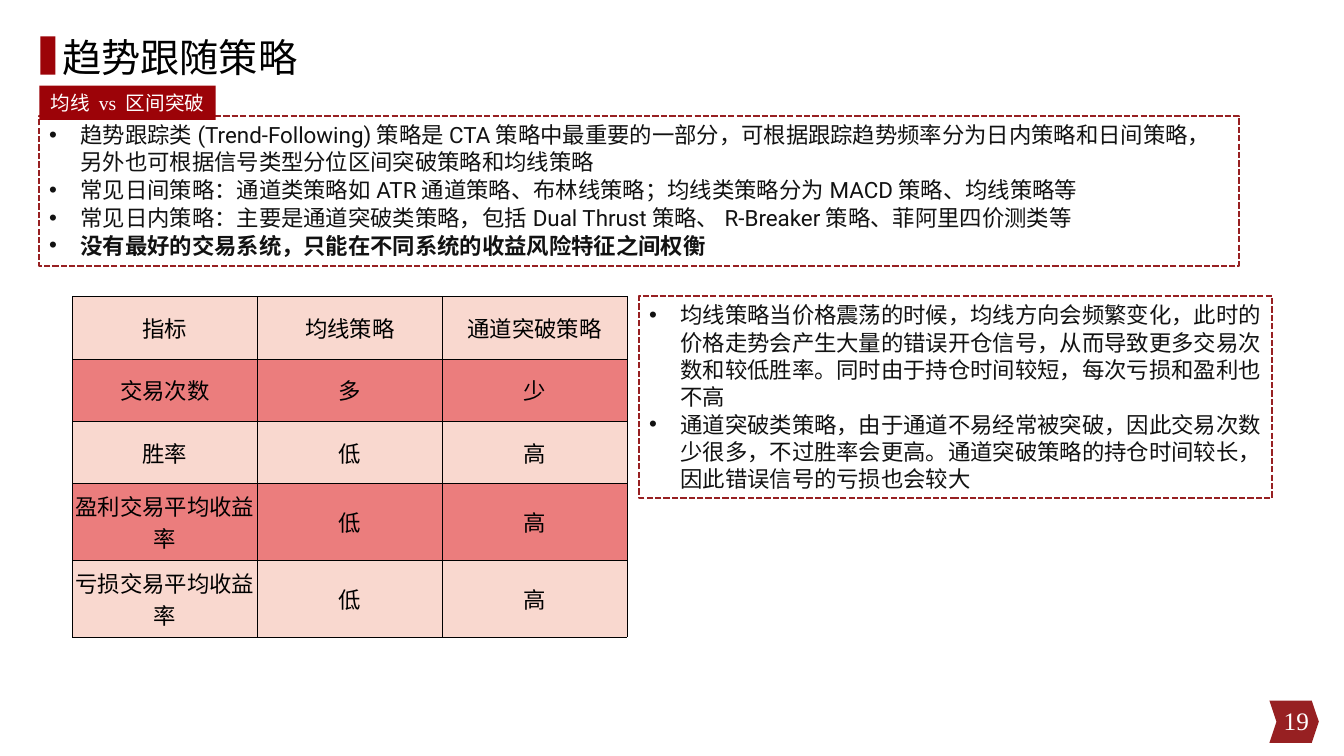
from dataclasses import dataclass

from lxml import etree
from pptx import Presentation
from pptx.dml.color import RGBColor
from pptx.enum.dml import MSO_LINE
from pptx.enum.shapes import MSO_SHAPE
from pptx.enum.text import MSO_ANCHOR, PP_ALIGN
from pptx.oxml.ns import qn
from pptx.util import Emu, Pt

PX = 9144
BLANK_LAYOUT = 6
RECTANGLE, CHEVRON = MSO_SHAPE.RECTANGLE, MSO_SHAPE.CHEVRON
LEFT, CENTER, RIGHT = PP_ALIGN.LEFT, PP_ALIGN.CENTER, PP_ALIGN.RIGHT
TOP, MIDDLE = MSO_ANCHOR.TOP, MSO_ANCHOR.MIDDLE
DASH = MSO_LINE.SQUARE_DOT
BORDER_SIDES = ("a:lnL", "a:lnR", "a:lnT", "a:lnB")


@dataclass(frozen=True)
class Theme:
    """Colours, fonts and type sizes of the slide."""
    accent: str = "9C0308"
    frame: str = "972022"
    ink: str = "121212"
    black: str = "000000"
    white: str = "FFFFFF"
    bands: tuple = ("F9D8CF", "EB7D7D")
    serif: str = "Times New Roman"
    sans: str = "Roboto"
    chinese: str = "Noto Sans CJK SC"
    title_size: int = 28
    number_size: int = 18
    body_size: int = 16
    tag_size: int = 14
    body_leading: float = 19.4
    space_after: float = 0.5


THEME = Theme()

OVERVIEW = (
    "趋势跟踪类(Trend-Following)策略是CTA策略中最重要的一部分，可根据跟踪趋势频率分为日内策略和日间策略，"
    "另外也可根据信号类型分位区间突破策略和均线策略",
    "常见日间策略：通道类策略如ATR通道策略、布林线策略；均线类策略分为MACD策略、均线策略等",
    "常见日内策略：主要是通道突破类策略，包括Dual Thrust策略、R-Breaker策略、菲阿里四价测类等",
    "没有最好的交易系统，只能在不同系统的收益风险特征之间权衡",
)
EXPLANATION = (
    "均线策略当价格震荡的时候，均线方向会频繁变化，此时的价格走势会产生大量的错误开仓信号，"
    "从而导致更多交易次数和较低胜率。同时由于持仓时间较短，每次亏损和盈利也不高",
    "通道突破类策略，由于通道不易经常被突破，因此交易次数少很多，不过胜率会更高。"
    "通道突破策略的持仓时间较长，因此错误信号的亏损也会较大",
)
COMPARISON = (
    ("指标", "均线策略", "通道突破策略"),
    ("交易次数", "多", "少"),
    ("胜率", "低", "高"),
    ("盈利交易平均收益率", "低", "高"),
    ("亏损交易平均收益率", "低", "高"),
)
ROW_HEIGHTS = (62, 62, 62, 76, 76)


def scaled(box):
    """Turn a box of px lengths into EMU."""
    return [Emu(length * PX) for length in box]


def style_paragraph(paragraph, size, color, font_name, alignment=LEFT, bold=False):
    """Format a paragraph and its runs."""
    paragraph.alignment = alignment
    for run in paragraph.runs:
        run.font.size = Pt(size)
        run.font.bold = bold
        run.font.color.rgb = RGBColor.from_string(color)
        run.font.name = font_name
        east_asian = etree.SubElement(run._r.get_or_add_rPr(), qn("a:ea"))
        east_asian.set("typeface", THEME.chinese)


def add_block(slide, box, fill=None, preset=RECTANGLE):
    """Add a preset shape without outline or shadow."""
    shape = slide.shapes.add_shape(preset, *scaled(box))
    shape.shadow.inherit = False
    shape.line.fill.background()
    if fill:
        shape.fill.solid()
        shape.fill.fore_color.rgb = RGBColor.from_string(fill)
    else:
        shape.fill.background()
    return shape


def add_label(slide, box, text, size, color, alignment=LEFT):
    """Add one vertically centred line of serif text."""
    text_frame = slide.shapes.add_textbox(*scaled(box)).text_frame
    text_frame.word_wrap = True
    text_frame.vertical_anchor = MIDDLE
    text_frame.text = text
    style_paragraph(text_frame.paragraphs[0], size, color, THEME.serif, alignment)


def add_header(slide, box, title):
    """Draw the accent bar and the slide title beside it."""
    left, top, width, height = box
    add_block(slide, (left, top + 38, 15, 38), THEME.accent)
    add_label(slide, (left + 12, top, width - 12, height), title, THEME.title_size, THEME.black)


def add_page_number(slide, box, number):
    """Draw the chevron with the page number on it."""
    left, top, width, height = box
    chevron = add_block(slide, box, THEME.frame, CHEVRON)
    chevron.adjustments[0] = 0.167
    add_label(slide, (left, top, width, height - 2), number, THEME.number_size, THEME.white, RIGHT)


def add_tag(slide, box, text):
    """Draw the filled section tag."""
    text_frame = add_block(slide, box, THEME.accent).text_frame
    text_frame.word_wrap = True
    text_frame.vertical_anchor = MIDDLE
    text_frame.text = text
    style_paragraph(text_frame.paragraphs[0], THEME.tag_size, THEME.white, THEME.serif, CENTER)


def add_bullet(paragraph, indent):
    """Give a paragraph a hanging bullet."""
    properties = paragraph._p.get_or_add_pPr()
    properties.set("marL", str(indent * PX))
    properties.set("indent", str(-indent * PX))
    etree.SubElement(properties, qn("a:buFont")).set("typeface", "Arial")
    etree.SubElement(properties, qn("a:buChar")).set("char", "•")


def add_bullet_panel(slide, box, items, bold_items=()):
    """Draw a dashed panel holding a bulleted list."""
    panel = add_block(slide, box)
    panel.line.color.rgb = RGBColor.from_string(THEME.frame)
    panel.line.width = Pt(1.5)
    panel.line.dash_style = DASH
    text_frame = panel.text_frame
    text_frame.word_wrap = True
    text_frame.vertical_anchor = TOP
    text_frame.text = "\n".join(items)
    for item, paragraph in zip(items, text_frame.paragraphs):
        add_bullet(paragraph, 31)
        paragraph.line_spacing = Pt(THEME.body_leading)
        paragraph.space_after = Pt(THEME.space_after)
        style_paragraph(paragraph, THEME.body_size, THEME.ink, THEME.sans, bold=item in bold_items)


def add_cell_borders(cell):
    """Draw thin lines on all four sides of a cell."""
    properties = cell._tc.get_or_add_tcPr()
    for side in BORDER_SIDES:
        line = etree.SubElement(properties, qn(side), w=str(Pt(0.5)))
        fill = etree.SubElement(line, qn("a:solidFill"))
        etree.SubElement(fill, qn("a:srgbClr"), val=THEME.black)


def fill_cell(cell, text, color):
    """Write and format one table cell."""
    add_cell_borders(cell)
    cell.fill.solid()
    cell.fill.fore_color.rgb = RGBColor.from_string(color)
    cell.margin_left = cell.margin_right = cell.margin_top = cell.margin_bottom = 0
    cell.vertical_anchor = MIDDLE
    cell.text_frame.text = text
    style_paragraph(cell.text_frame.paragraphs[0], THEME.body_size, THEME.black, THEME.chinese, CENTER)


def add_comparison_table(slide, box, rows, row_heights):
    """Draw the strategy comparison with alternating row colours."""
    table = slide.shapes.add_table(len(rows), len(rows[0]), *scaled(box)).table
    table.first_row = table.horz_banding = False
    for row, height in zip(table.rows, row_heights):
        row.height = Emu(height * PX)
    for row_index, texts in enumerate(rows):
        for column_index, text in enumerate(texts):
            fill_cell(table.cell(row_index, column_index), text, THEME.bands[row_index % 2])


def build_strategy_slide(presentation):
    """Place every region of the trend-following slide."""
    slide = presentation.slides.add_slide(presentation.slide_layouts[BLANK_LAYOUT])
    add_page_number(slide, (1259, 695, 49, 42), "19")
    add_header(slide, (40, -2, 1143, 117), "趋势跟随策略")
    add_bullet_panel(slide, (39, 115, 1190, 149), OVERVIEW, OVERVIEW[-1:])
    add_comparison_table(slide, (72, 294, 550, sum(ROW_HEIGHTS)), COMPARISON, ROW_HEIGHTS)
    add_bullet_panel(slide, (634, 294, 628, 200), EXPLANATION)
    add_tag(slide, (39, 85, 175, 34), "均线 vs 区间突破")


def main():
    """Build and save the presentation."""
    presentation = Presentation()
    presentation.slide_width, presentation.slide_height = scaled((1333, 750))
    build_strategy_slide(presentation)
    presentation.save("out.pptx")


if __name__ == "__main__":
    main()
